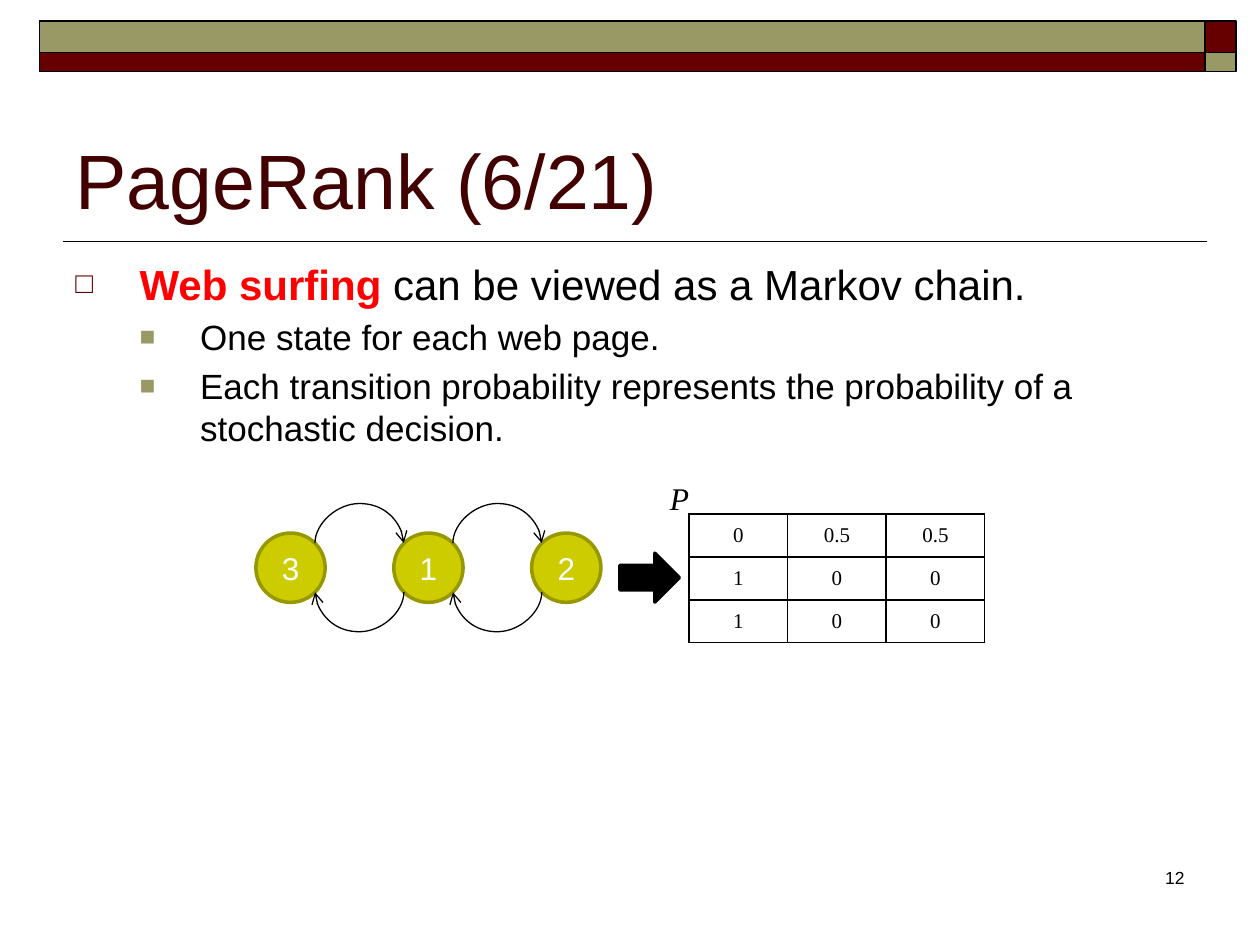
from lxml.etree import SubElement
from pptx import Presentation
from pptx.dml.color import RGBColor
from pptx.enum.shapes import MSO_CONNECTOR as CONN, MSO_SHAPE as SHAPE
from pptx.enum.text import MSO_ANCHOR as ANCHOR, MSO_AUTO_SIZE as AUTO, PP_ALIGN as ALIGN
from pptx.oxml.ns import qn
from pptx.util import Pt

BLACK = RGBColor(0x00, 0x00, 0x00)
WHITE = RGBColor(0xFF, 0xFF, 0xFF)
MAROON = RGBColor(0x66, 0x00, 0x00)
DARK_MAROON = RGBColor(0x42, 0x00, 0x00)
OLIVE = RGBColor(0x99, 0x99, 0x66)
RED = RGBColor(0xFF, 0x00, 0x00)
YELLOW = RGBColor(0xCC, 0xCC, 0x00)
DARK_YELLOW = RGBColor(0x97, 0x97, 0x00)
SANS, SERIF = "Arial", "Times New Roman"


def add_xml(parent, tag, **attrs):
    return SubElement(parent, qn(tag), {k: str(v) for k, v in attrs.items()})


class SlideBuilder:
    def __init__(self, slide):
        self.slide = slide
        self.shapes = slide.shapes

    def style(self, p, size, color=BLACK, font=SANS, align=ALIGN.LEFT, italic=False):
        p.alignment = align
        for r in p.runs:
            r.font.size, r.font.name = Pt(size), font
            r.font.color.rgb, r.font.italic = color, italic

    def title(self, text, x, y, w, h):
        sp = self.shapes.title
        sp.left, sp.top, sp.width, sp.height = Pt(x), Pt(y), Pt(w), Pt(h)
        tf = sp.text_frame
        tf.text = text
        tf.vertical_anchor = ANCHOR.BOTTOM
        self.style(tf.paragraphs[0], 44, DARK_MAROON)

    def text(self, text, x, y, w, h, size, wrap=True, **style):
        tf = self.shapes.add_textbox(Pt(x), Pt(y), Pt(w), Pt(h)).text_frame
        tf.word_wrap = wrap
        if not wrap:
            tf.auto_size = AUTO.SHAPE_TO_FIT_TEXT
        tf.text = text
        self.style(tf.paragraphs[0], size, **style)

    def bullets(self, items, x, y, w, h):
        tf = self.shapes.add_textbox(Pt(x), Pt(y), Pt(w), Pt(h)).text_frame
        tf.word_wrap = True
        levels = [(24, 36.7, 36.7, "□", MAROON, 70), (20, 71.3, 34.6, "■", OLIVE, 75)]
        for i, (level, strong, text) in enumerate(items):
            p = tf.paragraphs[0] if i == 0 else tf.add_paragraph()
            size, margin, hang, char, color, scale = levels[level]
            p.level = level
            if strong:
                p.add_run().text = strong
            p.add_run().text = text
            self.style(p, size)
            if strong:
                p.runs[0].font.bold = True
                p.runs[0].font.color.rgb = RED
            pPr = p._p.get_or_add_pPr()
            pPr.set("marL", str(Pt(margin)))
            pPr.set("indent", str(-Pt(hang)))
            add_xml(add_xml(pPr, "a:spcBef"), "a:spcPct", val=20000)
            add_xml(add_xml(pPr, "a:buClr"), "a:srgbClr", val=color)
            add_xml(pPr, "a:buSzPct", val=scale * 1000)
            add_xml(pPr, "a:buFont", typeface=SANS)
            add_xml(pPr, "a:buChar", char=char)

    def shape(self, kind, x, y, w, h, fill, line=BLACK, weight=1, text=""):
        sp = self.shapes.add_shape(kind, Pt(x), Pt(y), Pt(w), Pt(h))
        sp.shadow.inherit = False
        sp.fill.solid()
        sp.fill.fore_color.rgb = fill
        sp.line.color.rgb, sp.line.width = line, Pt(weight)
        if text:
            tf = sp.text_frame
            tf.text = text
            tf.vertical_anchor = ANCHOR.MIDDLE
            self.style(tf.paragraphs[0], 18, WHITE, align=ALIGN.CENTER)

    def line(self, x1, y1, x2, y2, weight=1, kind=CONN.STRAIGHT):
        c = self.shapes.add_connector(kind, Pt(x1), Pt(y1), Pt(x2), Pt(y2))
        c.line.color.rgb, c.line.width = BLACK, Pt(weight)
        add_xml(c._element.spPr, "a:effectLst")
        return c

    def arc(self, x1, x2, y, bulge):
        """Arrow from x1 to x2 at height y; runs upright, then turns by 90 degrees."""
        thin = 0.12
        mid, half = (x1 + x2) / 2, (x1 - x2) / 2
        edge = thin / 2 if x1 < x2 else -thin / 2
        c = self.line(mid + edge, y - half, mid - edge, y + half, 0.75, CONN.CURVE)
        spPr = c._element.spPr
        spPr.find(qn("a:xfrm")).set("rot", "5400000")
        geom = spPr.find(qn("a:prstGeom"))
        guides = geom.find(qn("a:avLst"))
        if guides is None:
            guides = add_xml(geom, "a:avLst")
        add_xml(guides, "a:gd", name="adj1", fmla=f"val {round(bulge / thin * 100000)}")
        add_xml(spPr.find(qn("a:ln")), "a:tailEnd", type="arrow")

    def table(self, rows, x, y, col_w, row_h):
        n_rows, n_cols = len(rows), len(rows[0])
        table = self.shapes.add_table(n_rows, n_cols, Pt(x), Pt(y),
                                      Pt(col_w * n_cols), Pt(row_h * n_rows)).table
        table.first_row = table.horz_banding = False
        for col in table.columns:
            col.width = Pt(col_w)
        for i, row in enumerate(rows):
            table.rows[i].height = Pt(row_h)
            for j, value in enumerate(row):
                cell = table.cell(i, j)
                cell.text = value
                cell.vertical_anchor = ANCHOR.MIDDLE
                self.style(cell.text_frame.paragraphs[0], 12, font=SERIF, align=ALIGN.CENTER)
                tcPr = cell._tc.get_or_add_tcPr()
                for side in ("a:lnL", "a:lnR", "a:lnT", "a:lnB"):
                    fill = add_xml(add_xml(tcPr, side, w=Pt(1)), "a:solidFill")
                    add_xml(fill, "a:srgbClr", val=BLACK)
                cell.fill.background()


def main():
    prs = Presentation()
    prs.slide_width, prs.slide_height = Pt(720), Pt(540)
    b = SlideBuilder(prs.slides.add_slide(prs.slide_layouts[5]))

    # Header band and rule
    b.line(690, 138, 36, 138)
    for x, w, upper, lower in ((688.5, 18, MAROON, OLIVE), (22.5, 666, OLIVE, MAROON)):
        b.shape(SHAPE.RECTANGLE, x, 12, w, 18, upper)
        b.shape(SHAPE.RECTANGLE, x, 30, w, 11, lower)

    # Title, body and page number
    b.title("PageRank (6/21)", 36, 42, 648, 90)
    b.bullets([
        (0, "Web surfing ", "can be viewed as a Markov chain."),
        (1, "", "One state for each web page."),
        (1, "", "Each transition probability represents the probability of a "
                "stochastic decision."),
    ], 36, 144, 648, 338)
    b.text("12", 534, 492, 150, 36, 10, align=ALIGN.RIGHT)

    # Markov chain: states in a row
    size, pitch, center_y = 39.6, 78.8, 324.4
    centers = [166 + pitch * i for i in range(3)]
    for label, cx in zip("312", centers):
        b.shape(SHAPE.OVAL, cx - size / 2, center_y - size / 2, size, size,
                YELLOW, DARK_YELLOW, 2, label)

    # Transitions between neighbours, joined at the circles' diagonals
    diagonal = 14
    for left, right in zip(centers, centers[1:]):
        x1, x2 = left + diagonal, right - diagonal
        b.arc(x1, x2, center_y - diagonal, 24)
        b.arc(x2, x1, center_y + diagonal, 24)

    # Transition matrix
    b.table([["0", "0.5", "0.5"], ["1", "0", "0"], ["1", "0", "0"]],
            393.8, 293.8, 56.3, 24.5)
    b.shape(SHAPE.RIGHT_ARROW, 354.2, 316.1, 34, 28, BLACK, weight=2)
    b.text("P", 375.8, 270, 26.6, 28.8, 18, wrap=False, font=SERIF, italic=True)

    prs.save("out.pptx")


if __name__ == "__main__":
    main()
